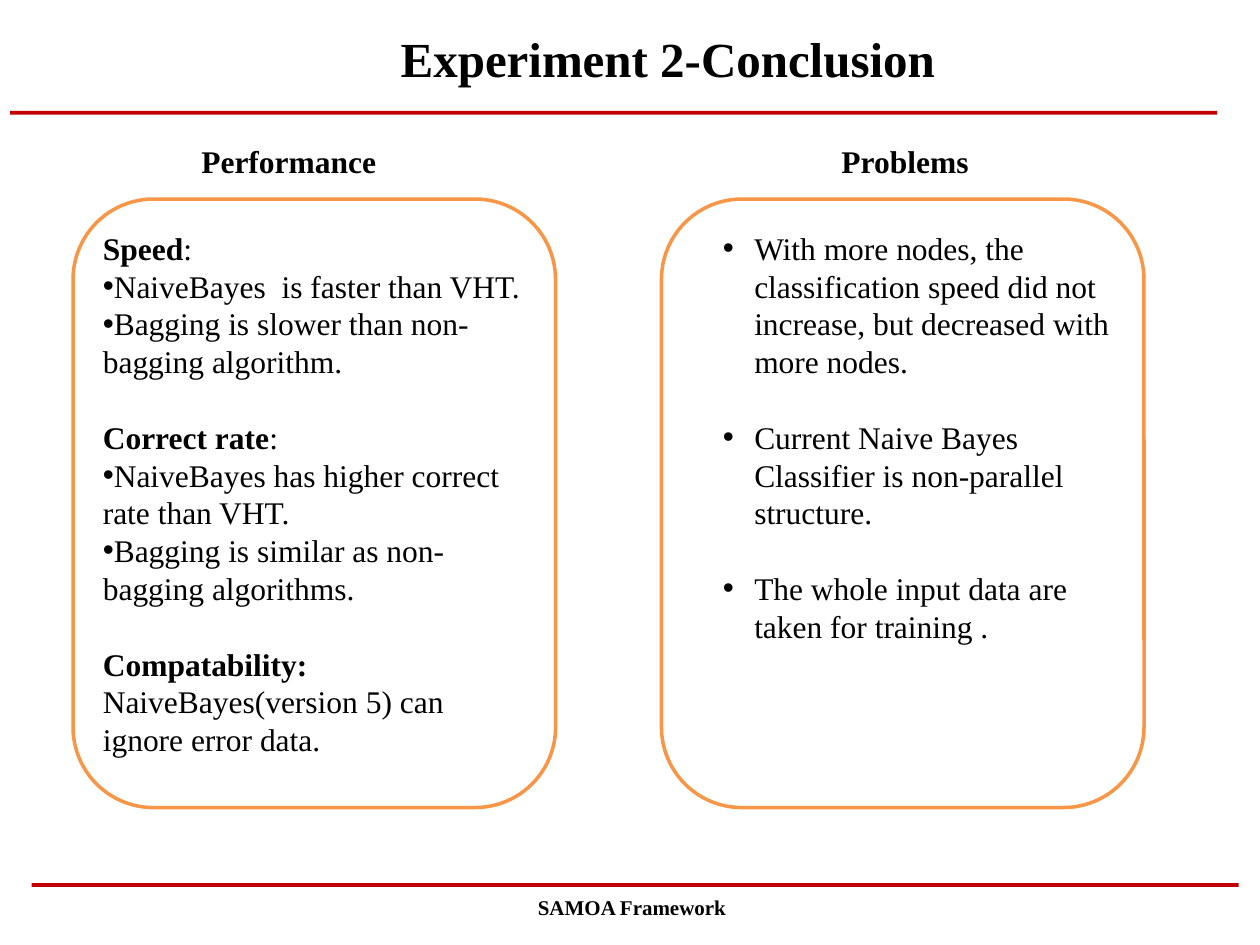
"""Build the Experiment 2 conclusion slide with two outlined panels."""
from pptx import Presentation
from pptx import util as u
from pptx.dml.color import RGBColor
from pptx.enum import shapes, text
from pptx.oxml import parse_xml
from pptx.oxml.ns import nsdecls

BLACK = RGBColor(0, 0, 0)
WHITE = RGBColor(0xFF, 0xFF, 0xFF)
RED = RGBColor(0xC0, 0, 0)
ORANGE = RGBColor(0xF7, 0x96, 0x46)
FONT = "Times New Roman"
LINE_PT = 21.6

TITLE = "Experiment 2-Conclusion"
FOOTER = "SAMOA Framework"
RULES = [(0.08, 0.88), (0.25, 7.01)]
PANELS = [
    {
        "heading": "Performance", "heading_left": 1.5, "left": 0.58,
        "margin": 0, "hanging": 0,
        "groups": [
            [("Speed", ":", False),
             ("", "NaiveBayes  is faster than VHT.", True),
             ("", "Bagging is slower than non-bagging algorithm.", True)],
            [("Correct rate", ":", False),
             ("", "NaiveBayes has higher correct rate than VHT.", True),
             ("", "Bagging is similar as non-bagging algorithms.", True)],
            [("Compatability:", "", False),
             ("", "NaiveBayes(version 5) can ignore error data.", False)],
        ],
    },
    {
        "heading": "Problems", "heading_left": 6.58, "left": 5.25,
        "margin": 0.5, "hanging": 0.25,
        "groups": [
            [("", "With more nodes, the classification speed did not increase, "
                  "but decreased with more nodes.", True)],
            [("", "Current Naive Bayes Classifier is non-parallel structure.", True)],
            [("", "The whole input data are taken for training .", True)],
        ],
    },
]


def add_text(p, content, size=18, bold=False, align=text.PP_ALIGN.LEFT):
    p.alignment = align
    r = p.add_run()
    r.text = content
    r.font.name, r.font.size, r.font.bold = FONT, u.Pt(size), bold
    r.font.color.rgb = BLACK


def add_label(s, content, left, top, width, height, **fmt):
    sp = s.shapes.add_textbox(*map(u.Inches, (left, top, width, height)))
    sp.text_frame.word_wrap = True
    add_text(sp.text_frame.paragraphs[0], content, **fmt)


def add_box(s, kind, left, top, width, height, fill, line=None):
    sp = s.shapes.add_shape(kind, *map(u.Inches, (left, top, width, height)))
    sp.shadow.inherit = False
    sp.fill.solid()
    sp.fill.fore_color.rgb = fill
    if line is None:
        sp.line.fill.background()
    else:
        sp.line.color.rgb = line
        sp.line.width = u.Pt(2)
    return sp


def set_bullet(p, margin, hanging):
    pPr = p._p.get_or_add_pPr()
    pPr.set("marL", str(u.Inches(margin)))
    pPr.set("indent", str(-u.Inches(hanging)))
    pPr.append(parse_xml(f'<a:buFont {nsdecls("a")} typeface="Arial"/>'))
    pPr.append(parse_xml(f'<a:buChar {nsdecls("a")} char="•"/>'))


def add_panel(s, panel):
    add_label(s, panel["heading"], panel["heading_left"], 1.08, 1.75, 0.4, bold=True)
    sp = add_box(s, shapes.MSO_SHAPE.ROUNDED_RECTANGLE,
                 panel["left"], 1.58, 3.83, 4.83, WHITE, ORANGE)
    tf = sp.text_frame
    tf.word_wrap = True
    tf.vertical_anchor = text.MSO_ANCHOR.TOP
    tf.margin_left = tf.margin_right = tf.margin_top = tf.margin_bottom = u.Inches(0.05)
    p = tf.paragraphs[0]
    for g, group in enumerate(panel["groups"]):
        for i, (lead, body, bulleted) in enumerate(group):
            if g or i:
                p = tf.add_paragraph()
            p.line_spacing = u.Pt(LINE_PT)
            p.space_before = u.Pt(LINE_PT if g and not i else 0)
            if lead:
                add_text(p, lead, bold=True)
            if body:
                add_text(p, body)
            if bulleted:
                set_bullet(p, panel["margin"], panel["hanging"])


def main():
    prs = Presentation()
    prs.slide_width, prs.slide_height = u.Inches(10), u.Inches(7.5)
    s = prs.slides.add_slide(prs.slide_layouts[5])

    title = s.shapes.title
    title.left, title.top = u.Inches(2.03), u.Inches(0.21)
    title.width, title.height = u.Inches(6.54), u.Inches(0.5)
    title.text_frame.vertical_anchor = text.MSO_ANCHOR.MIDDLE
    add_text(title.text_frame.paragraphs[0], TITLE, size=28, bold=True,
             align=text.PP_ALIGN.CENTER)

    for left, top in RULES:
        add_box(s, shapes.MSO_SHAPE.RECTANGLE, left, top, 9.58, 0.03, RED)
    for panel in PANELS:
        add_panel(s, panel)
    add_label(s, FOOTER, 4.17, 7.05, 1.92, 0.3, size=12, bold=True)

    prs.save("out.pptx")


if __name__ == "__main__":
    main()
